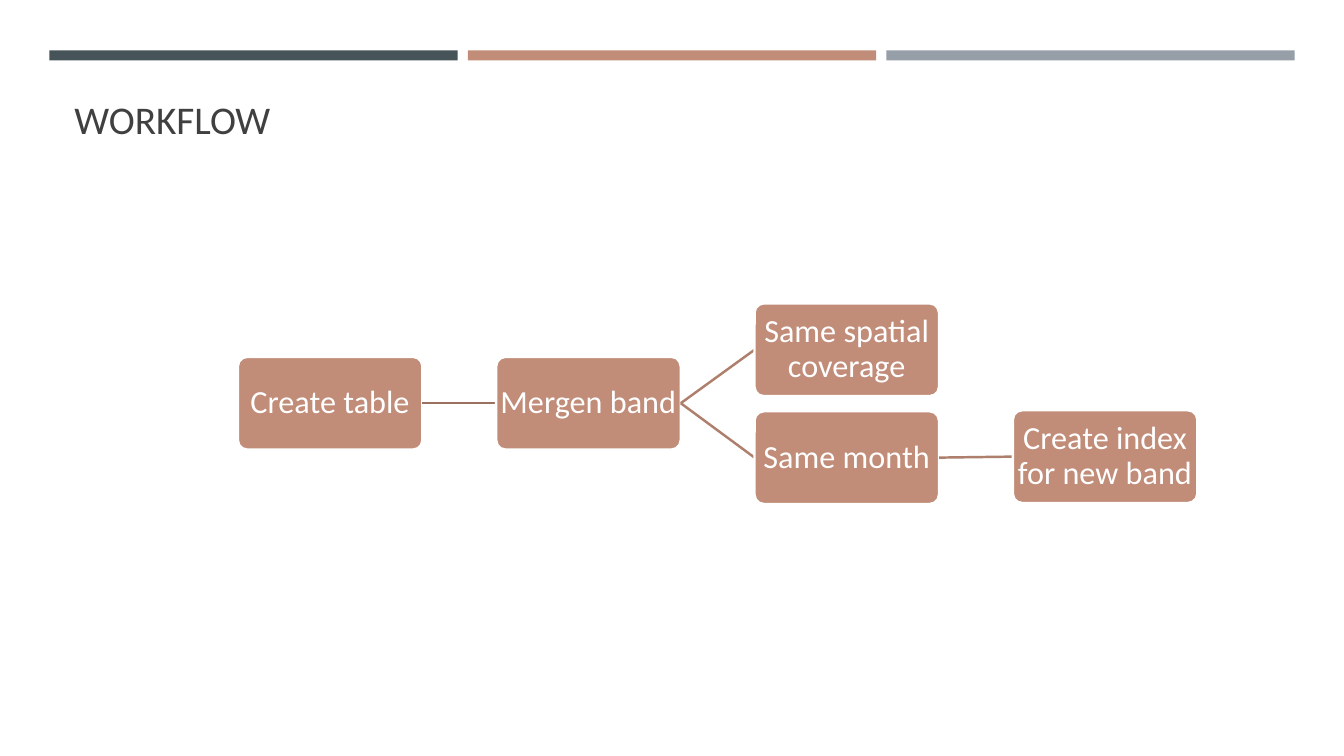
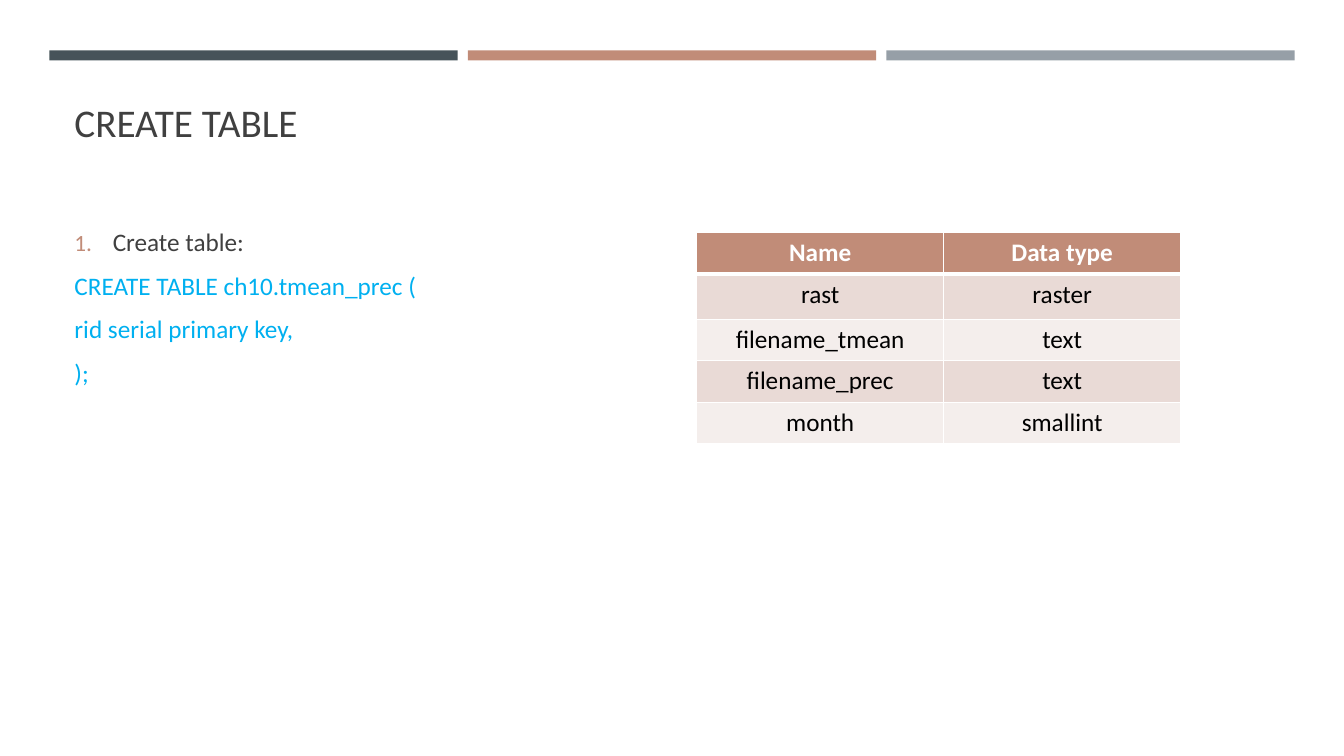
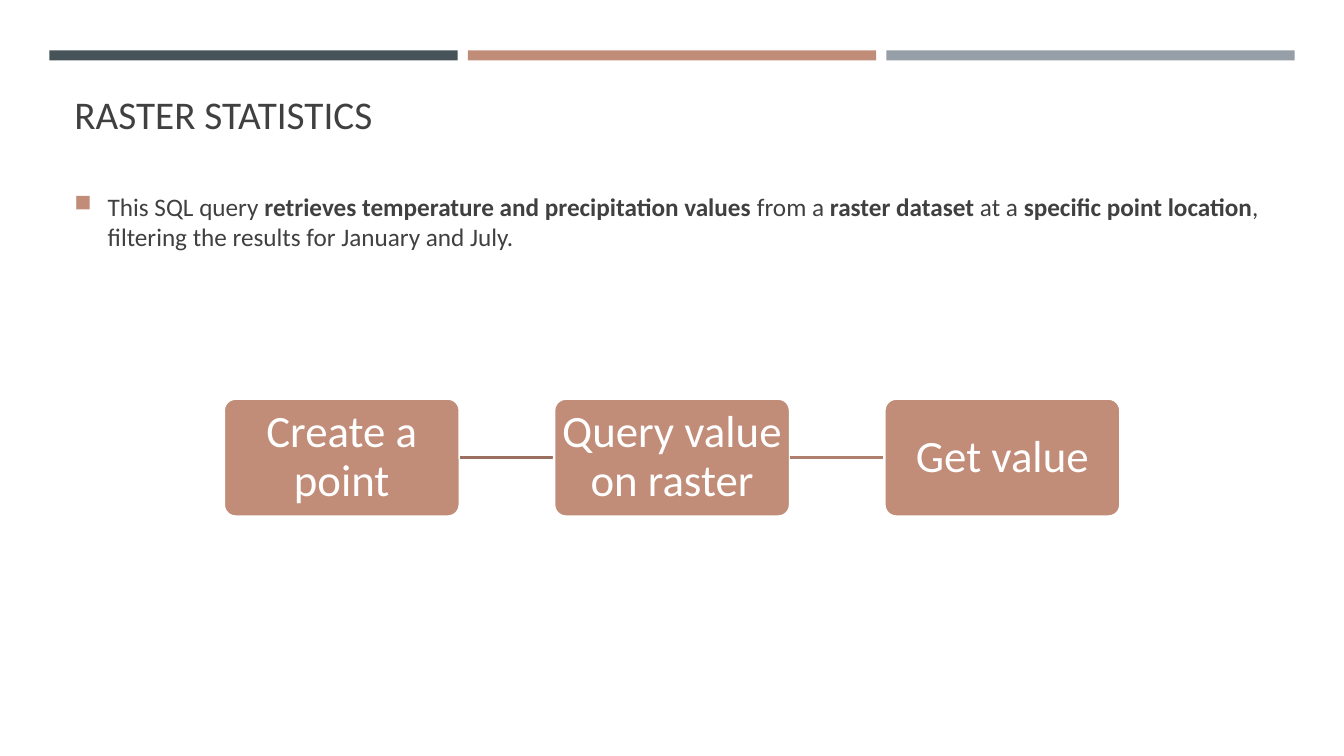
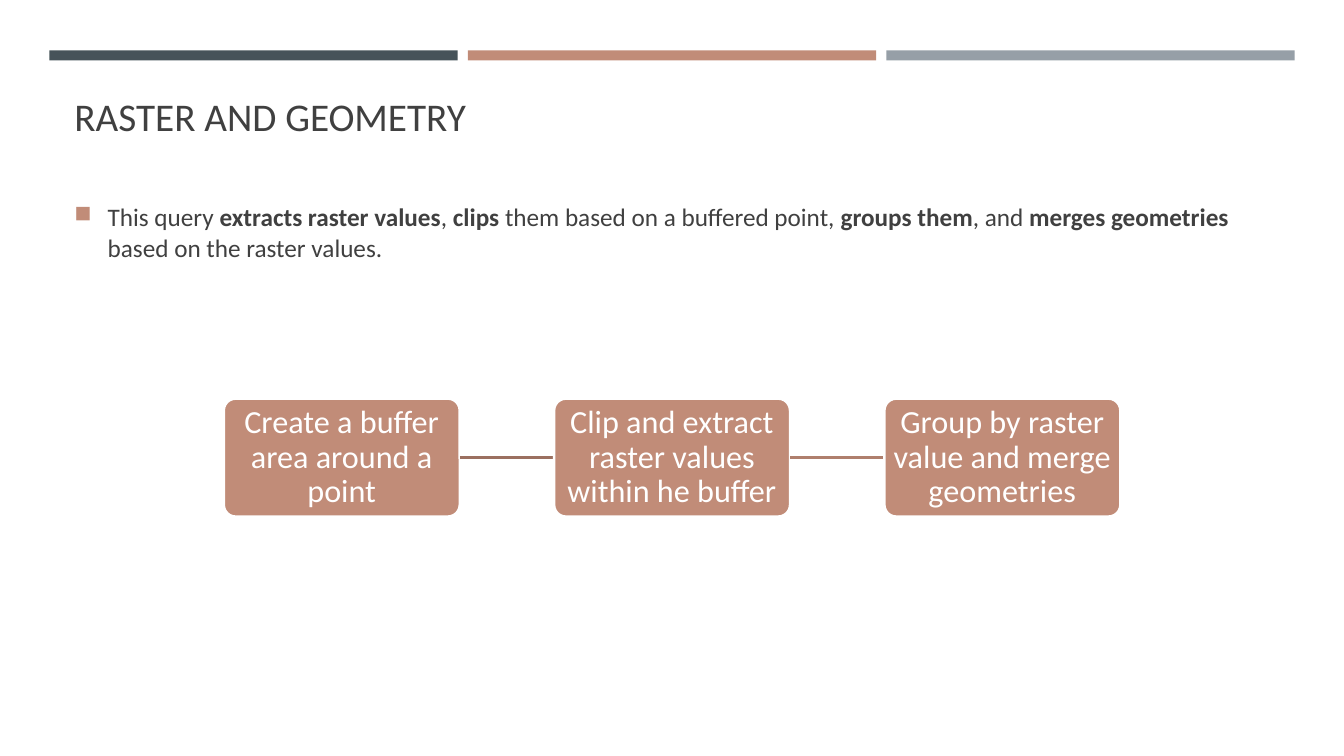
from lxml.etree import SubElement
from pptx import Presentation
from pptx.dml.color import RGBColor
from pptx.enum.shapes import MSO_CONNECTOR, MSO_SHAPE
from pptx.enum.text import MSO_ANCHOR, PP_ALIGN
from pptx.oxml import parse_xml
from pptx.oxml.ns import nsdecls, qn
from pptx.util import Inches, Pt

FONT = "Calibri"
COLORS = {
    "slate": "465359", "clay": "C18C78", "steel": "969FA7",
    "text": "404040", "code": "00B0F0", "white": "FFFFFF", "black": "000000",
    "first_link": "9B7060", "link": "AF7F6D",
    "row_dark": "E9DAD6", "row_light": "F4EEEC",
}
BANDS = ["slate", "clay", "steel"]
LEFT, CONTENT_WIDTH = 0.64, 12.06
RIGHT_SITE, LEFT_SITE = 3, 1


def chain(labels, size):
    steps = [(label, column, 4.54, column - 1 if column else None)
             for column, label in enumerate(labels)]
    return {"left": 2.22, "width": 2.34, "height": 1.17, "size": size, "steps": steps}


SLIDES = [
    {
        "title": ("WORKFLOW", 0.69),
        "flow": {
            "left": 2.36, "width": 1.83, "height": 0.92, "size": 23,
            "steps": [
                ("Create table", 0, 4.0, None),
                ("Mergen band", 1, 4.0, 0),
                ("Same spatial coverage", 2, 3.47, 1),
                ("Same month", 2, 4.54, 1),
                ("Create index for new band", 3, 4.53, 3),
            ],
        },
    },
    {
        "title": ("CREATE TABLE", 0.72),
        "body": {
            "box": (1.87, 4.41, 2.35),
            "paragraphs": [
                ("number", [("Create table:", "text", False)]),
                (None, [("CREATE TABLE ch10.tmean_prec (", "code", False)]),
                (None, [("rid serial primary key,", "code", False)]),
                (None, [(");", "code", False)]),
            ],
        },
        "table": [
            ("Name", "Data type"),
            ("rast", "raster"),
            ("filename_tmean", "text"),
            ("filename_prec", "text"),
            ("month", "smallint"),
        ],
    },
    {
        "title": ("RASTER STATISTICS", 0.64),
        "body": {
            "box": (1.63, CONTENT_WIDTH, 1.13),
            "paragraphs": [("square", [
                ("This SQL query ", "text", False),
                ("retrieves temperature and precipitation values", "text", True),
                (" from a ", "text", False),
                ("raster dataset", "text", True),
                (" at a ", "text", False),
                ("specific point location", "text", True),
                (", filtering the results for January and July.", "text", False),
            ])],
        },
        "flow": chain(["Create a point", "Query value on raster", "Get value"], 32),
    },
    {
        "title": ("RASTER AND GEOMETRY", 0.66),
        "body": {
            "box": (1.74, CONTENT_WIDTH, 1.12),
            "paragraphs": [("square", [
                ("This query ", "text", False),
                ("extracts raster values", "text", True),
                (", ", "text", False),
                ("clips", "text", True),
                (" them based on a buffered point, ", "text", False),
                ("groups them", "text", True),
                (", and ", "text", False),
                ("merges geometries", "text", True),
                (" based on the raster values.", "text", False),
            ])],
        },
        "flow": chain([
            "Create a buffer area around a point",
            "Clip and extract raster values within he buffer",
            "Group by raster value and merge geometries",
        ], 23),
    },
]


def rgb(name):
    return RGBColor.from_string(COLORS[name])


def add_run(paragraph, text, size, color, bold=False):
    run = paragraph.add_run()
    run.text = text
    run.font.name = FONT
    run.font.size = Pt(size)
    run.font.bold = bold
    run.font.color.rgb = rgb(color)


def add_box(slide, left, top, width, height, anchor):
    frame = slide.shapes.add_textbox(
        Inches(left), Inches(top), Inches(width), Inches(height)).text_frame
    frame.word_wrap = True
    frame.vertical_anchor = anchor
    return frame


def add_bands(slide):
    for index, color in enumerate(BANDS):
        band = slide.shapes.add_shape(
            MSO_SHAPE.RECTANGLE, Inches(0.49 + index * 4.15), Inches(0.5),
            Inches(4.05), Inches(0.1))
        band.shadow.inherit = False
        band.fill.solid()
        band.fill.fore_color.rgb = rgb(color)
        band.line.fill.background()


def add_title(slide, text, height):
    frame = add_box(slide, LEFT, 0.77, CONTENT_WIDTH, height, MSO_ANCHOR.BOTTOM)
    add_run(frame.paragraphs[0], text, 28, "text")


def add_bullet(paragraph, style):
    indent = Inches(0.38 if style == "number" else 0.33)
    properties = paragraph._p.get_or_add_pPr()
    properties.set("marL", str(indent))
    properties.set("indent", str(-indent))
    color = SubElement(properties, qn("a:buClr"))
    SubElement(color, qn("a:srgbClr"), val=COLORS["clay"])
    SubElement(properties, qn("a:buSzPct"), val="92000")
    if style == "number":
        SubElement(properties, qn("a:buAutoNum"), type="arabicPeriod")
    else:
        SubElement(properties, qn("a:buChar"), char="■")


def add_body(slide, box, paragraphs):
    top, width, height = box
    frame = add_box(slide, LEFT, top, width, height, MSO_ANCHOR.MIDDLE)
    for index, (bullet, runs) in enumerate(paragraphs):
        paragraph = frame.add_paragraph() if index else frame.paragraphs[0]
        paragraph.space_before = Pt(3.6 if index else 0)
        paragraph.space_after = Pt(6)
        if bullet:
            add_bullet(paragraph, bullet)
        for text, color, bold in runs:
            add_run(paragraph, text, 18, color, bold)


def add_link(slide, source, color):
    link = slide.shapes.add_connector(MSO_CONNECTOR.STRAIGHT, 0, 0, 0, 0)
    link.begin_connect(source, RIGHT_SITE)
    link.line.color.rgb = rgb(color)
    link.line.width = Pt(1.75)
    SubElement(link._element.spPr, qn("a:effectLst"))
    return link


def add_step(slide, label, left, top, width, height, size):
    step = slide.shapes.add_shape(
        MSO_SHAPE.ROUNDED_RECTANGLE, Inches(left), Inches(top),
        Inches(width), Inches(height))
    step.adjustments[0] = 0.1
    step.shadow.inherit = False
    step.fill.solid()
    step.fill.fore_color.rgb = rgb("clay")
    step.line.color.rgb = rgb("white")
    step.line.width = Pt(1.75)
    frame = step.text_frame
    frame.word_wrap = True
    frame.vertical_anchor = MSO_ANCHOR.MIDDLE
    frame.margin_left = frame.margin_right = Inches(0.01)
    frame.margin_top = frame.margin_bottom = Inches(0.02)
    paragraph = frame.paragraphs[0]
    paragraph.alignment = PP_ALIGN.CENTER
    paragraph.line_spacing = 0.9
    add_run(paragraph, label, size, "white")
    return step


def add_flow(slide, left, width, height, size, steps):
    pitch = 1.4 * width
    placed = []
    for label, column, middle, parent in steps:
        link = None
        if parent is not None:
            link = add_link(slide, placed[parent], "first_link" if parent == 0 else "link")
        step = add_step(slide, label, left + column * pitch, middle - height / 2,
                        width, height, size)
        if link is not None:
            link.end_connect(step, LEFT_SITE)
        placed.append(step)


def add_borders(cell, is_header):
    for index, side in enumerate("LRTB"):
        width = Pt(3 if is_header and side == "B" else 1)
        border = parse_xml(
            f'<a:ln{side} {nsdecls("a")} w="{width}"><a:solidFill>'
            f'<a:srgbClr val="{COLORS["white"]}"/></a:solidFill></a:ln{side}>')
        cell._tc.get_or_add_tcPr().insert(index, border)


def add_columns_table(slide, rows):
    widths, heights = [2.45, 2.35], [0.41, 0.45, 0.41, 0.41, 0.41]
    table = slide.shapes.add_table(
        len(rows), len(widths), Inches(6.91), Inches(2.31),
        Inches(sum(widths)), Inches(sum(heights))).table
    for column, width in zip(table.columns, widths):
        column.width = Inches(width)
    for row_index, values in enumerate(rows):
        table.rows[row_index].height = Inches(heights[row_index])
        is_header = row_index == 0
        fill = "clay" if is_header else "row_dark" if row_index % 2 else "row_light"
        for column_index, value in enumerate(values):
            cell = table.cell(row_index, column_index)
            cell.fill.solid()
            cell.fill.fore_color.rgb = rgb(fill)
            add_borders(cell, is_header)
            paragraph = cell.text_frame.paragraphs[0]
            paragraph.alignment = PP_ALIGN.CENTER
            add_run(paragraph, value, 18, "white" if is_header else "black", is_header)


def main():
    deck = Presentation()
    deck.slide_width, deck.slide_height = Inches(13.33), Inches(7.5)
    for content in SLIDES:
        slide = deck.slides.add_slide(deck.slide_layouts[6])
        add_bands(slide)
        add_title(slide, *content["title"])
        if "body" in content:
            add_body(slide, **content["body"])
        if "table" in content:
            add_columns_table(slide, content["table"])
        if "flow" in content:
            add_flow(slide, **content["flow"])
    deck.save("out.pptx")


if __name__ == "__main__":
    main()
